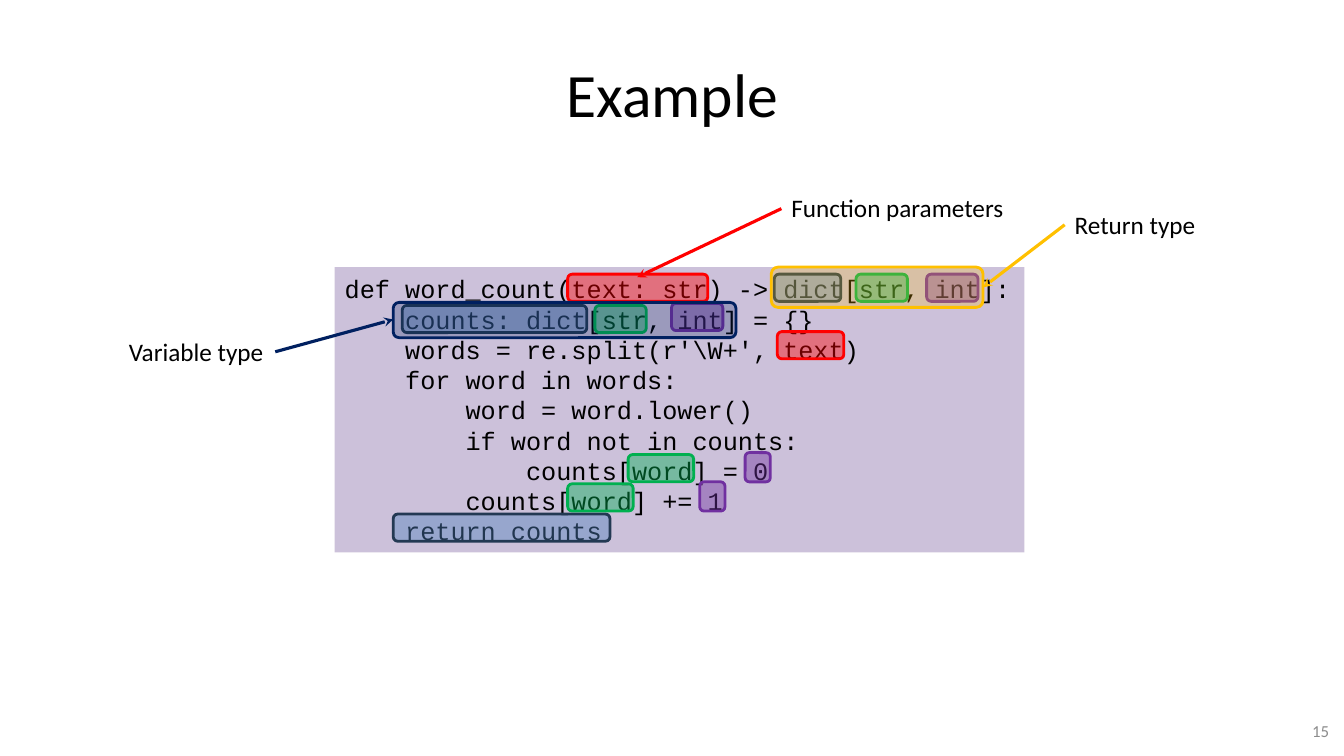
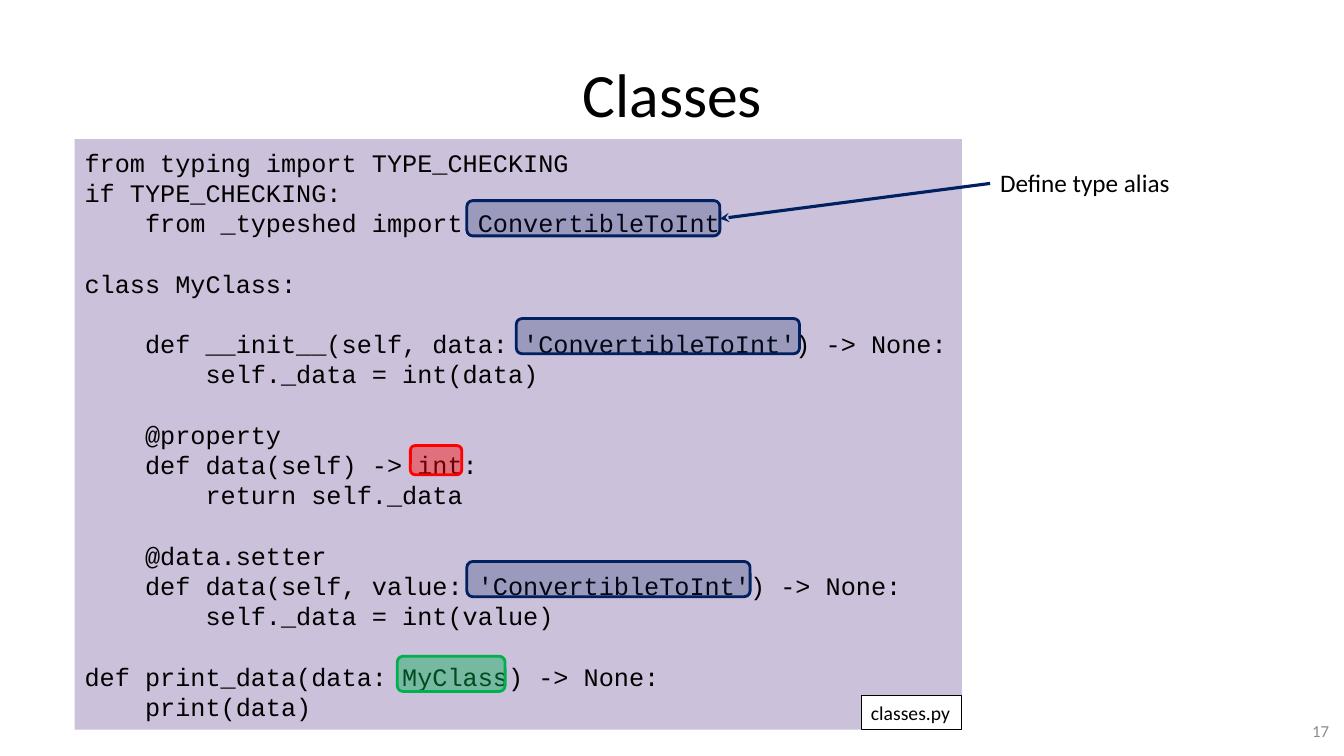
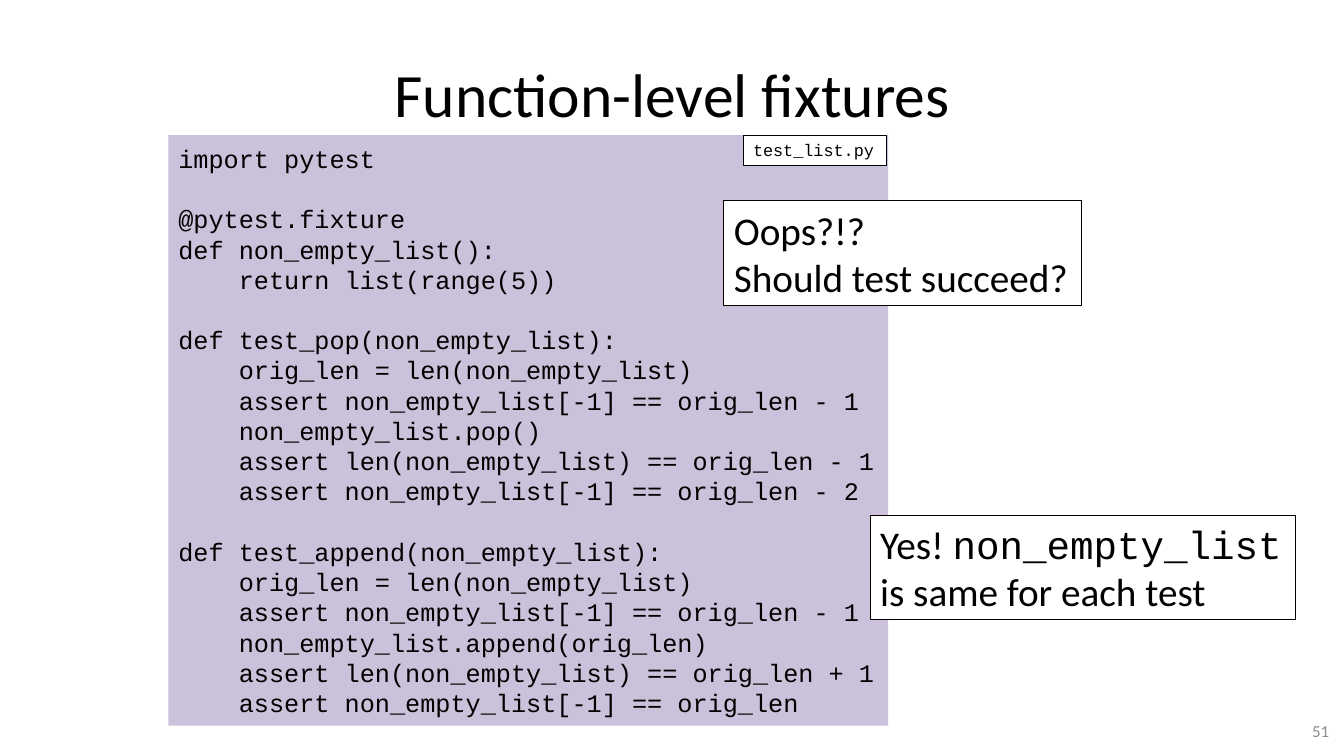
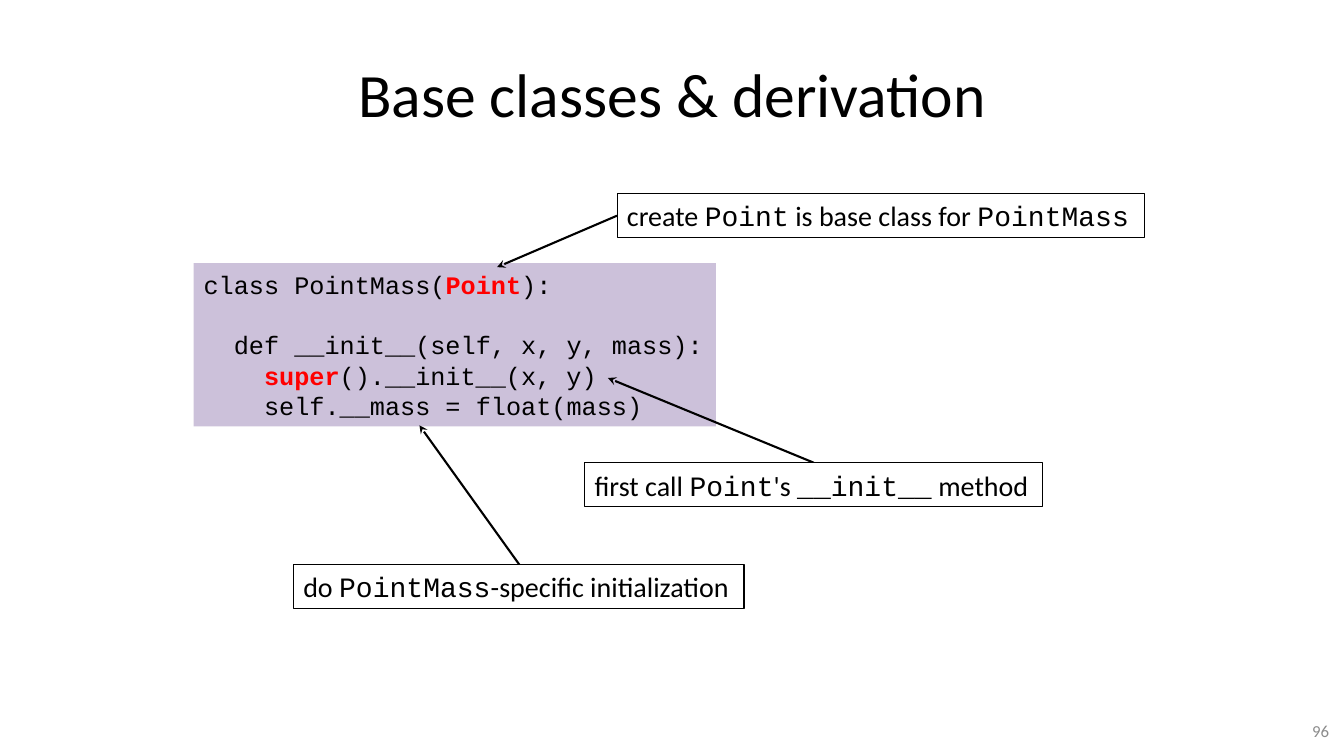
from lxml.etree import SubElement
from pptx import Presentation
from pptx.dml.color import RGBColor
from pptx.enum.shapes import MSO_CONNECTOR, MSO_SHAPE
from pptx.enum.text import MSO_ANCHOR, PP_ALIGN
from pptx.oxml.ns import qn
from pptx.util import Inches, Pt

SANS, MONO = "Calibri", "Courier New"
BLACK, WHITE, GREY, RED = "000000", "FFFFFF", "8C8C8C", "FF0000"
NAVY, GOLD, GREEN, PURPLE, LILAC = "002060", "FFC000", "00B050", "7030A0", "CCC1DA"
STEEL, SLATE = "4F81BD", "233953"
STRONG, PALE = 42, 24
CODE_SIZE, CODE_PITCH = 18, 21.6

WORD_COUNT = r"""def word_count(text: str) -> dict[str, int]:
    counts: dict[str, int] = {}
    words = re.split(r'\W+', text)
    for word in words:
        word = word.lower()
        if word not in counts:
            counts[word] = 0
        counts[word] += 1
    return counts"""

MY_CLASS = """from typing import TYPE_CHECKING
if TYPE_CHECKING:
    from _typeshed import ConvertibleToInt

class MyClass:

    def __init__(self, data: 'ConvertibleToInt') -> None:
        self._data = int(data)

    @property
    def data(self) -> int:
        return self._data

    @data.setter
    def data(self, value: 'ConvertibleToInt') -> None:
        self._data = int(value)

def print_data(data: MyClass) -> None:
    print(data)"""

TEST_LIST = """import pytest

@pytest.fixture
def non_empty_list():
    return list(range(5))

def test_pop(non_empty_list):
    orig_len = len(non_empty_list)
    assert non_empty_list[-1] == orig_len - 1
    non_empty_list.pop()
    assert len(non_empty_list) == orig_len - 1
    assert non_empty_list[-1] == orig_len - 2

def test_append(non_empty_list):
    orig_len = len(non_empty_list)
    assert non_empty_list[-1] == orig_len - 1
    non_empty_list.append(orig_len)
    assert len(non_empty_list) == orig_len + 1
    assert non_empty_list[-1] == orig_len"""

POINT_MASS = """class PointMass(`Point`):

  def __init__(self, x, y, mass):
    `super`().__init__(x, y)
    self.__mass = float(mass)"""


def rgb(value):
    """Turn a hex string into a colour."""
    return RGBColor.from_string(value)


def style(font, size, color=BLACK, face=SANS):
    """Set the face, size and colour of a font."""
    font.name, font.size = face, Pt(size)
    font.color.rgb = rgb(color)


class Deck:
    """Hold the shared style and the current slide."""

    def __init__(self):
        """Start an empty wide presentation."""
        self.deck = Presentation()
        self.deck.slide_width, self.deck.slide_height = Inches(13.33), Inches(7.5)
        self.slide = None

    def start(self, title, number):
        """Add a slide with its title and number."""
        self.slide = self.deck.slides.add_slide(self.deck.slide_layouts[5])
        heading = self.slide.shapes.title
        heading.left, heading.top = Inches(0.67), Inches(0.3)
        heading.width, heading.height = Inches(12), Inches(1.25)
        heading.text_frame.text = title
        heading.text_frame.vertical_anchor = MSO_ANCHOR.MIDDLE
        paragraph = heading.text_frame.paragraphs[0]
        paragraph.alignment = PP_ALIGN.CENTER
        style(paragraph.font, 44)
        page = self.frame(10.17, 7.05, 3.11, 0.4).paragraphs[0]
        page.text = str(number)
        page.alignment = PP_ALIGN.RIGHT
        style(page.font, 12, GREY)

    def frame(self, left, top, width, height, fill=None, outline=None, wrap=True):
        """Add a text box and return its text frame."""
        box = self.slide.shapes.add_textbox(
            Inches(left), Inches(top), Inches(width), Inches(height))
        if fill:
            box.fill.solid()
            box.fill.fore_color.rgb = rgb(fill)
        if outline:
            box.line.color.rgb = rgb(outline)
            box.line.width = Pt(0.75)
        box.text_frame.word_wrap = wrap
        box.text_frame.vertical_anchor = MSO_ANCHOR.MIDDLE
        return box.text_frame

    def code(self, left, top, width, height, source):
        """Add a code panel, with backticks around red words."""
        panel = self.frame(left, top, width, height, LILAC, wrap=False)
        paragraph, gap = panel.paragraphs[0], 0
        for row, line in enumerate(source.split("\n")):
            if not line:
                gap += CODE_PITCH
                continue
            if row:
                paragraph = panel.add_paragraph()
            paragraph.line_spacing = Pt(CODE_PITCH)
            if gap:
                paragraph.space_before = Pt(gap)
                gap = 0
            style(paragraph.font, CODE_SIZE, face=MONO)
            for index, part in enumerate(line.split("`")):
                if part:
                    run = paragraph.add_run()
                    run.text = part
                    if index % 2:
                        run.font.bold = True
                        run.font.color.rgb = rgb(RED)

    def note(self, left, top, width, height, text, size, face=SANS):
        """Add a bordered note, with backticks around code words."""
        paragraph = self.frame(
            left, top, width, height, WHITE, BLACK, wrap=False).paragraphs[0]
        style(paragraph.font, size, face=face)
        for row, line in enumerate(text.split("\n")):
            if row:
                paragraph.add_line_break()
            for index, part in enumerate(line.split("`")):
                if part:
                    run = paragraph.add_run()
                    run.text = part
                    if index % 2:
                        run.font.name = MONO

    def label(self, left, top, width, text):
        """Add a plain one-line label."""
        paragraph = self.frame(left, top, width, 0.4, wrap=False).paragraphs[0]
        paragraph.text = text
        style(paragraph.font, 18)

    def mark(self, left, top, width, height, color, opacity=STRONG, outline=None):
        """Add a see-through rounded highlight."""
        highlight = self.slide.shapes.add_shape(
            MSO_SHAPE.ROUNDED_RECTANGLE,
            Inches(left), Inches(top), Inches(width), Inches(height))
        highlight.shadow.inherit = False
        highlight.fill.solid()
        highlight.fill.fore_color.rgb = rgb(color)
        tint = highlight.element.spPr.find(qn("a:solidFill")).find(qn("a:srgbClr"))
        SubElement(tint, qn("a:alpha"), val=str(opacity * 1000))
        highlight.line.color.rgb = rgb(outline or color)
        highlight.line.width = Pt(2)

    def arrow(self, start, end, color=BLACK, width=1.5):
        """Add an arrow from start to end."""
        pointer = self.slide.shapes.add_connector(
            MSO_CONNECTOR.STRAIGHT, *(Inches(value) for value in (*start, *end)))
        pointer.line.color.rgb = rgb(color)
        pointer.line.width = Pt(width)
        properties = pointer.element.spPr
        SubElement(properties.find(qn("a:ln")), qn("a:tailEnd"), type="stealth")
        SubElement(properties, qn("a:effectLst"))


def example(deck):
    """Build the annotated word count slide."""
    deck.start("Example", 15)
    deck.code(3.32, 2.65, 6.84, 2.83, WORD_COUNT)
    for left, top, width in ((3.99, 3.03, 1.83), (3.9, 5.1, 2.15), (7.68, 2.72, 0.66)):
        deck.mark(left, top, width, 0.27, STEEL, outline=SLATE)
    for left, top, width, height, color in (
            (7.71, 3.29, 0.66, 0.27, RED),
            (5.63, 2.72, 1.39, 0.27, RED),
            (6.23, 4.51, 0.65, 0.27, GREEN),
            (5.63, 4.8, 0.65, 0.27, GREEN),
            (5.9, 3.03, 0.51, 0.27, GREEN),
            (8.49, 2.72, 0.51, 0.27, GREEN),
            (9.19, 2.72, 0.51, 0.27, PURPLE),
            (6.66, 3.01, 0.51, 0.27, PURPLE),
            (7.39, 4.49, 0.25, 0.29, PURPLE),
            (6.94, 4.78, 0.25, 0.29, PURPLE)):
        deck.mark(left, top, width, height, color)
    deck.arrow((7.75, 2.07), (6.32, 2.75), RED, 2.25)
    deck.label(7.75, 1.86, 2.33, "Function parameters")
    deck.mark(7.65, 2.65, 2.1, 0.4, GOLD, PALE)
    deck.arrow((10.56, 2.23), (9.75, 2.85), GOLD, 2.25)
    deck.label(10.56, 2.03, 1.41, "Return type")
    deck.arrow((2.73, 3.49), (3.9, 3.17), NAVY, 2.25)
    deck.label(1.18, 3.29, 1.55, "Variable type")
    deck.mark(3.9, 3, 3.4, 0.35, NAVY, PALE)


def classes(deck):
    """Build the slide on type hints in classes."""
    deck.start("Classes", 17)
    deck.code(0.74, 1.38, 8.8, 5.86, MY_CLASS)
    deck.note(8.54, 6.9, 1, 0.34, "classes.py", 14)
    deck.arrow((9.82, 1.82), (7.14, 2.17), NAVY, 2.25)
    deck.label(9.82, 1.61, 1.91, "Define type alias")
    for left, top, width in ((4.63, 1.99, 2.51), (5.12, 3.16, 2.81), (4.63, 5.57, 2.81)):
        deck.mark(left, top, width, 0.35, NAVY, PALE)
    deck.mark(4.07, 4.42, 0.51, 0.29, RED)
    deck.mark(3.94, 6.51, 1.07, 0.35, GREEN)


def fixtures(deck):
    """Build the slide on function-level fixtures."""
    deck.start("Function-level fixtures", 51)
    deck.code(1.67, 1.34, 7.14, 5.86, TEST_LIST)
    deck.note(7.37, 1.34, 1.42, 0.3, "test_list.py", 12, MONO)
    deck.note(7.18, 1.99, 3.55, 1.04, "Oops?!?\nShould test succeed?", 28)
    deck.note(8.63, 5.11, 4.22, 1.04,
              "Yes! `non_empty_list`\nis same for each test", 28)


def derivation(deck):
    """Build the slide on base classes."""
    deck.start("Base classes & derivation", 96)
    deck.code(1.92, 2.61, 5.18, 1.62, POINT_MASS)
    for start, end, left, top, width, text in (
            ((6.12, 2.14), (4.93, 2.65), 6.12, 1.92, 5.23,
             "create `Point` is base class for `PointMass`"),
            ((8.07, 4.59), (6.03, 3.75), 5.8, 4.59, 4.54,
             "first call `Point`'s `__init__` method"),
            ((5.15, 5.6), (4.16, 4.22), 2.91, 5.6, 4.47,
             "do `PointMass`-specific initialization")):
        deck.arrow(start, end)
        deck.note(left, top, width, 0.44, text, 20)


def main():
    """Build and save all slides."""
    deck = Deck()
    for build in (example, classes, fixtures, derivation):
        build(deck)
    deck.deck.save("out.pptx")


if __name__ == "__main__":
    main()
